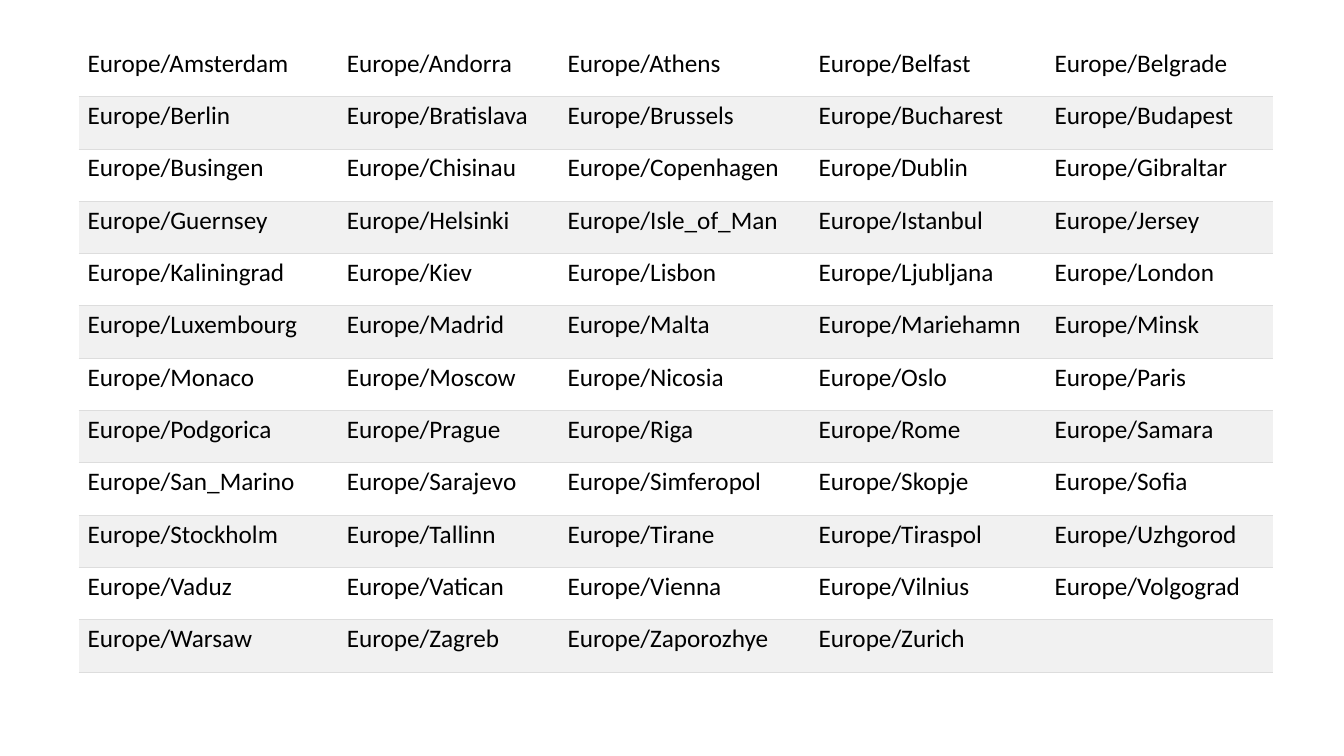
from lxml.etree import SubElement
from pptx import Presentation
from pptx.dml.color import RGBColor
from pptx.oxml.ns import qn
from pptx.util import Inches, Pt

COLORS = {"text": "000000", "plain": "FFFFFF", "band": "F1F1F1", "rule": "DDDDDD"}
COLUMN_WIDTHS = [2.62, 2.19, 2.49, 2.34, 2.21]
TABLE_HEIGHT = 6.23
ZONE_ROWS = [
    "Amsterdam Andorra Athens Belfast Belgrade",
    "Berlin Bratislava Brussels Bucharest Budapest",
    "Busingen Chisinau Copenhagen Dublin Gibraltar",
    "Guernsey Helsinki Isle_of_Man Istanbul Jersey",
    "Kaliningrad Kiev Lisbon Ljubljana London",
    "Luxembourg Madrid Malta Mariehamn Minsk",
    "Monaco Moscow Nicosia Oslo Paris",
    "Podgorica Prague Riga Rome Samara",
    "San_Marino Sarajevo Simferopol Skopje Sofia",
    "Stockholm Tallinn Tirane Tiraspol Uzhgorod",
    "Vaduz Vatican Vienna Vilnius Volgograd",
    "Warsaw Zagreb Zaporozhye Zurich",
]
FONT_FORMAT = {"name": "Calibri", "size": Pt(18), "bold": False}


def add_border(cell, side, color=None):
    """Draw a thin rule on one side of a cell, or clear that side."""
    line = SubElement(cell._tc.get_or_add_tcPr(), qn(f"a:ln{side}"), w=str(Pt(0.75)))
    if color:
        fill = SubElement(line, qn("a:solidFill"))
        SubElement(fill, qn("a:srgbClr"), val=color)
    else:
        SubElement(line, qn("a:noFill"))


# Slide
presentation = Presentation()
presentation.slide_width = Inches(13.33)
presentation.slide_height = Inches(7.5)
slide = presentation.slides.add_slide(presentation.slide_layouts[6])

# Table grid
table = slide.shapes.add_table(
    len(ZONE_ROWS), len(COLUMN_WIDTHS), Inches(0.78), Inches(0.44),
    Inches(sum(COLUMN_WIDTHS)), Inches(TABLE_HEIGHT),
).table
table.first_row = False
table.horz_banding = False
for column, width in zip(table.columns, COLUMN_WIDTHS):
    column.width = Inches(width)
for row in table.rows:
    row.height = Inches(TABLE_HEIGHT / len(ZONE_ROWS))

# Cells: banded fills, horizontal rules and time zone names
for row_index, row in enumerate(table.rows):
    cities = ZONE_ROWS[row_index].split()
    for column_index, cell in enumerate(row.cells):
        cell.margin_left = Inches(0.04 if column_index else 0.09)
        cell.margin_right = cell.margin_top = cell.margin_bottom = Inches(0.04)

        add_border(cell, "L")
        add_border(cell, "R")
        add_border(cell, "T", COLORS["rule"] if row_index else None)
        add_border(cell, "B", COLORS["rule"])
        cell.fill.solid()
        band = "band" if row_index % 2 else "plain"
        cell.fill.fore_color.rgb = RGBColor.from_string(COLORS[band])

        if column_index < len(cities):
            paragraph = cell.text_frame.paragraphs[0]
            run = paragraph.add_run()
            run.text = f"Europe/{cities[column_index]}"
            for attribute, value in FONT_FORMAT.items():
                setattr(run.font, attribute, value)
            run.font.color.rgb = RGBColor.from_string(COLORS["text"])

presentation.save("out.pptx")
